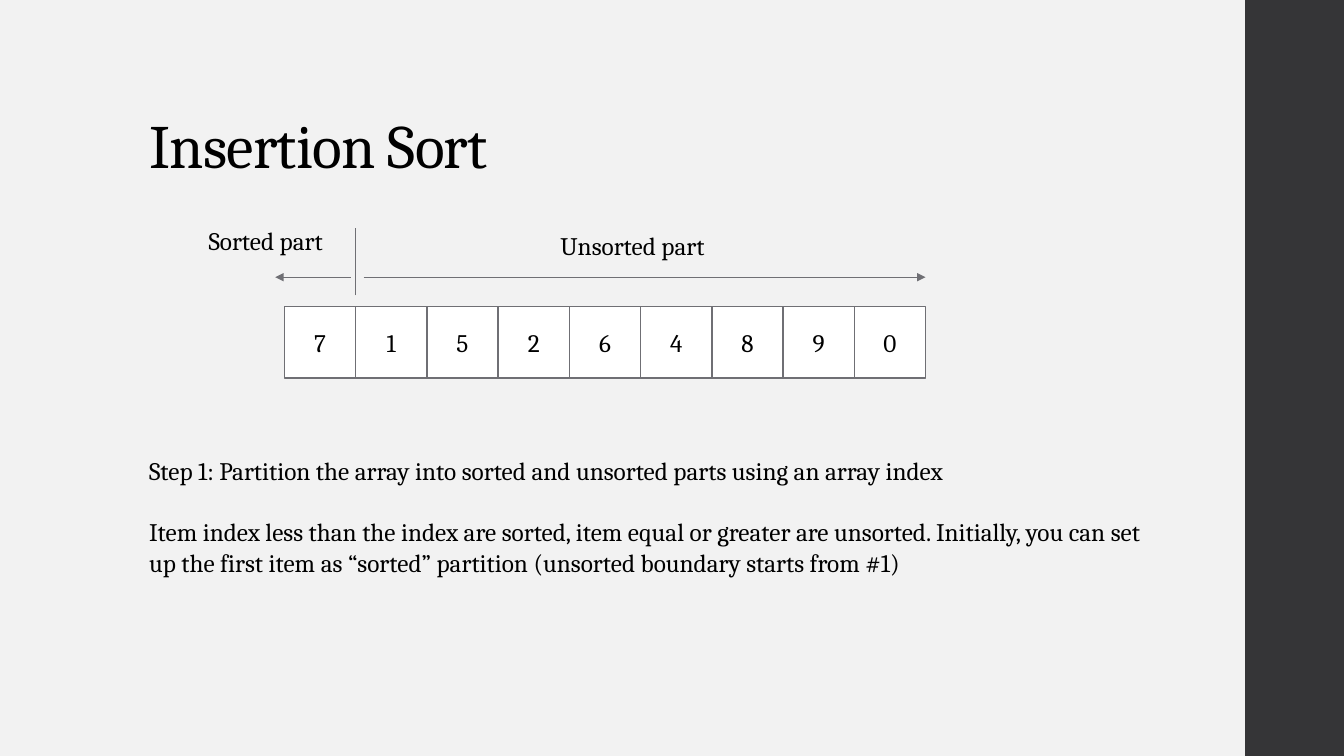
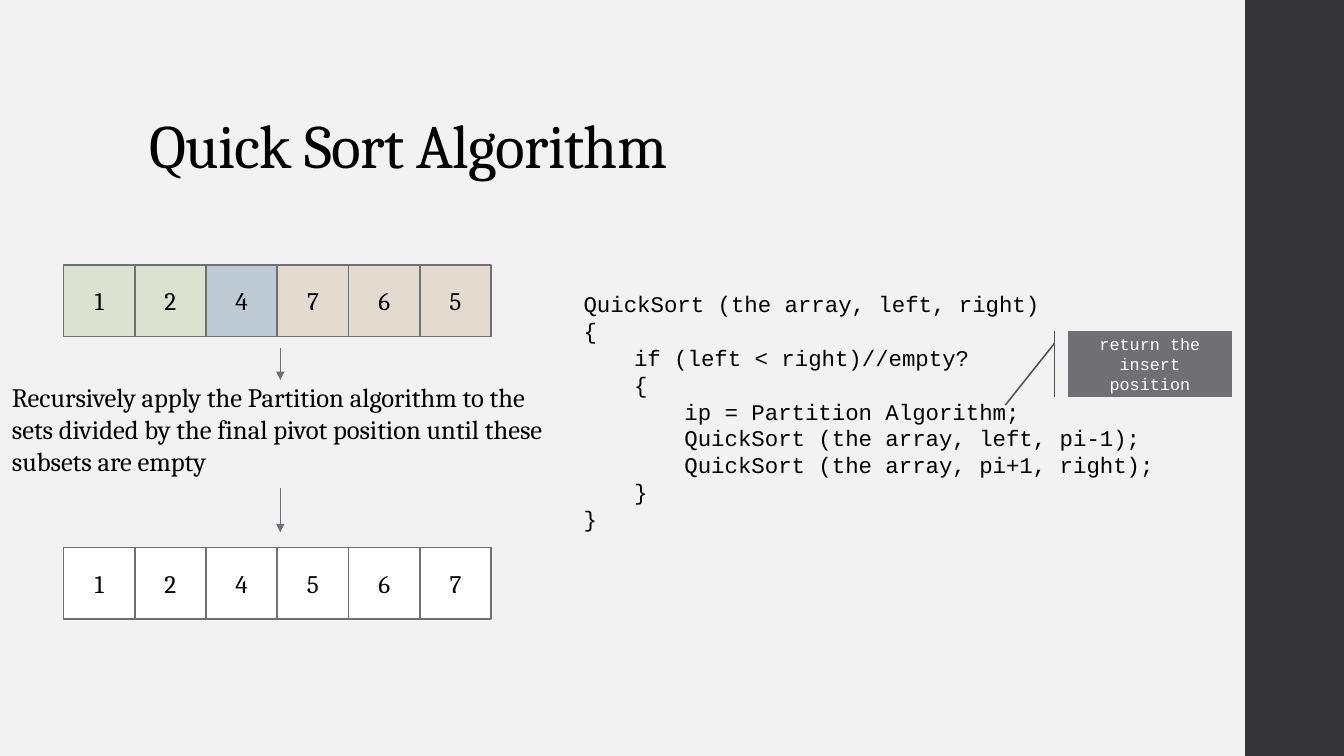
"""Build two slides on insertion sort and quick sort."""
import pptx
import pptx.dml.color
import pptx.enum.shapes
import pptx.enum.text
import pptx.oxml
import pptx.oxml.ns
import pptx.util

Inches = pptx.util.Inches
Pt = pptx.util.Pt
SHAPE = pptx.enum.shapes.MSO_SHAPE
ANCHOR = pptx.enum.text.MSO_ANCHOR
ALIGN = pptx.enum.text.PP_ALIGN

PAPER, BAND, INK, WHITE = "F2F2F2", "353537", "000000", "FFFFFF"
GREY, DARK_GREY = "6F6F74", "525256"
LOWER, PIVOT, UPPER = "DCE2D0", "BECBD5", "E3DBD0"
SERIF, MONO = "Cambria", "Courier New"
TITLE_BOX = (1.38, 0.4, 10.6, 1.45)
BAND_BOX = (12.35, 0, 1, 7.5)
CELL_HEIGHT = 0.71
CODE_INDENT = 0.5

INSERTION_NOTES = [
    "Step 1: Partition the array into sorted and unsorted parts using an array index",
    "Item index less than the index are sorted, item equal or greater are unsorted. "
    "Initially, you can set up the first item as “sorted” partition "
    "(unsorted boundary starts from #1)",
]
QUICK_NOTE = ("Recursively apply the Partition algorithm to the sets divided by "
              "the final pivot position until these subsets are empty")
QUICK_CODE = [
    (0, "QuickSort (the array, left, right)"),
    (0, "{"),
    (1, "if (left < right)//empty?"),
    (1, "{"),
    (2, "ip = Partition Algorithm;"),
    (2, "QuickSort (the array, left, pi-1);"),
    (2, "QuickSort (the array, pi+1, right);"),
    (1, "}"),
    (0, "}"),
]


def rgb(color):
    """Turn a hex string into a colour."""
    return pptx.dml.color.RGBColor.from_string(color)


def apply(target, values):
    """Set each attribute of a target from a dict."""
    for name, value in values.items():
        setattr(target, name, value)


def write(sp, lines, size, font=SERIF, color=INK, anchor=ANCHOR.TOP, **para):
    """Fill a shape with paragraphs and return them."""
    tf = sp.text_frame
    apply(tf, {"word_wrap": True, "vertical_anchor": anchor})
    for i, line in enumerate(lines):
        p = tf.add_paragraph() if i else tf.paragraphs[0]
        apply(p, para)
        r = p.add_run()
        r.text = line
        apply(r.font, {"size": Pt(size), "name": font})
        r.font.color.rgb = rgb(color)
    return tf.paragraphs


def add_text(s, box, lines, size, **style):
    """Add a text box and return its paragraphs."""
    sp = s.shapes.add_textbox(*map(Inches, box))
    return write(sp, lines, size, **style)


def add_box(s, box, fill, line=None, kind=SHAPE.RECTANGLE):
    """Add a filled preset shape, outlined if a line colour is given."""
    sp = s.shapes.add_shape(kind, *map(Inches, box))
    sp.shadow.inherit = False
    sp.fill.solid()
    sp.fill.fore_color.rgb = rgb(fill)
    if line:
        sp.line.color.rgb = rgb(line)
        sp.line.width = Pt(1.1)
    else:
        sp.line.fill.background()
    return sp


def add_line(s, start, end, arrow=True):
    """Add a thin grey line, with an arrowhead at its end if wanted."""
    straight = pptx.enum.shapes.MSO_CONNECTOR.STRAIGHT
    cx = s.shapes.add_connector(straight, *map(Inches, start + end))
    cx.line.color.rgb = rgb(GREY)
    cx.line.width = Pt(0.75)
    if arrow:
        head = pptx.oxml.parse_xml(
            f'<a:tailEnd {pptx.oxml.ns.nsdecls("a")} type="triangle"/>')
        cx.line._get_or_add_ln().append(head)
    effects = pptx.oxml.parse_xml(f'<a:effectLst {pptx.oxml.ns.nsdecls("a")}/>')
    cx._element.spPr.append(effects)


def add_array(s, left, top, width, values, fills=None):
    """Draw an array as a row of equal cells across the given width."""
    step = width / len(values)
    for i, value in enumerate(values):
        fill = fills[i] if fills else WHITE
        sp = add_box(s, (left + i * step, top, step, CELL_HEIGHT), fill, GREY)
        write(sp, [value], 18, anchor=ANCHOR.MIDDLE, alignment=ALIGN.CENTER)


def add_partition(s, left, top, width, values):
    """Draw an array below its sorted and unsorted ranges."""
    split, right = left + width / len(values), left + width
    add_array(s, left, top, width, values)
    add_line(s, (split, top - 0.11), (split, top - 0.78), arrow=False)
    add_line(s, (split - 0.05, top - 0.29), (left - 0.09, top - 0.29))
    add_line(s, (split + 0.08, top - 0.29), (right, top - 0.29))
    add_text(s, (left - 0.85, top - 0.85, 1.54, 0.4), ["Sorted part"], 18)
    add_text(s, (left + 2.64, top - 0.8, 1.85, 0.4), ["Unsorted part"], 18)


def add_recursion(s, left, top, width):
    """Draw the partitioned array, the recursive step and the sorted array."""
    middle = left + 2.15
    fills = [LOWER] * 2 + [PIVOT] + [UPPER] * 3
    add_array(s, left, top, width, "124765", fills)
    add_text(s, (left - 0.61, top + 1.1, 5.67, 1.06), [QUICK_NOTE], 19)
    add_array(s, left, top + 2.8, width, "124567")
    add_line(s, (middle, top + 0.82), (middle, top + 1.14))
    add_line(s, (middle, top + 2.21), (middle, top + 2.65))


def add_code(s, left, top, width, height):
    """Write the indented code and the callout on its partition line."""
    paragraphs = add_text(s, (left, top, width, height),
                          [line for _, line in QUICK_CODE], 16, font=MONO)
    for p, (depth, _) in zip(paragraphs, QUICK_CODE):
        p._p.get_or_add_pPr().set("marL", str(Inches(CODE_INDENT * depth)))
    sp = add_box(s, (left + 4.9, top + 0.45, 1.63, 0.66), GREY, DARK_GREY,
                 SHAPE.LINE_CALLOUT_1_ACCENT_BAR)
    for i, value in enumerate((0.19, -0.08, 1.12, -0.38)):
        sp.adjustments[i] = value
    write(sp, ["return the insert position"], 12, font=MONO, color=WHITE,
          anchor=ANCHOR.MIDDLE, alignment=ALIGN.CENTER)


def new_slide(prs, title):
    """Add a slide with the shared background, side band and title."""
    s = prs.slides.add_slide(prs.slide_layouts[6])
    s.background.fill.solid()
    s.background.fill.fore_color.rgb = rgb(PAPER)
    add_box(s, BAND_BOX, BAND)
    p = add_text(s, TITLE_BOX, [title], 44, anchor=ANCHOR.BOTTOM,
                 line_spacing=0.9)[0]
    p.runs[0]._r.get_or_add_rPr().set("spc", "-50")
    return s


def insertion_slide(prs):
    """Build the insertion sort slide."""
    s = new_slide(prs, "Insertion Sort")
    add_partition(s, 2.82, 3.04, 6.36, "715264890")
    notes = add_text(s, (1.38, 4.47, 10.32, 1.31), INSERTION_NOTES, 18)
    notes[1].space_before = Pt(22)


def quick_slide(prs):
    """Build the quick sort slide."""
    s = new_slide(prs, "Quick Sort Algorithm")
    add_recursion(s, 0.63, 2.63, 4.24)
    add_code(s, 5.69, 2.83, 5.94, 2.52)


def main():
    """Build and save the presentation."""
    prs = pptx.Presentation()
    apply(prs, {"slide_width": Inches(13.33), "slide_height": Inches(7.5)})
    insertion_slide(prs)
    quick_slide(prs)
    prs.save("out.pptx")


if __name__ == "__main__":
    main()
